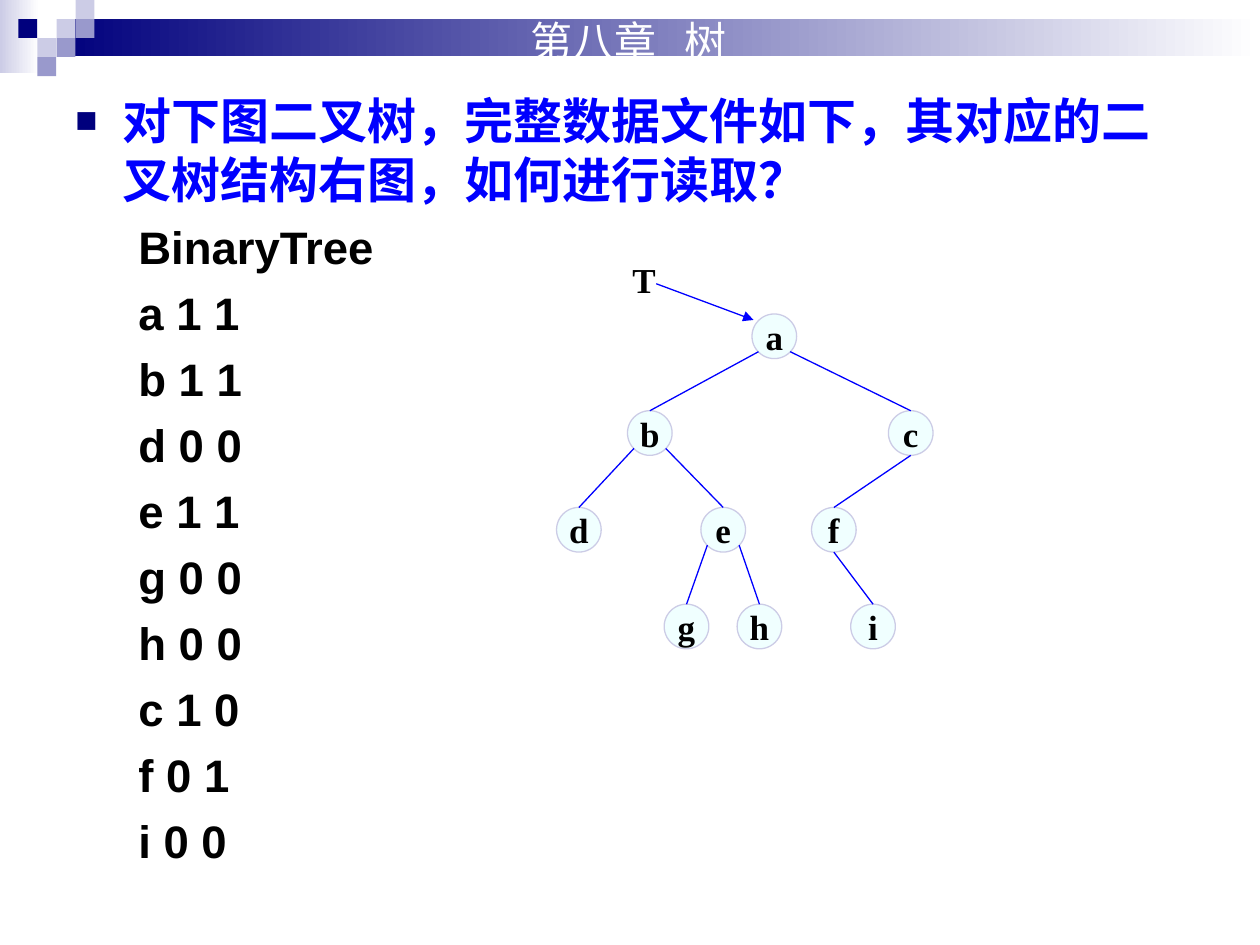
import pptx
import pptx.util
import pptx.dml.color
import pptx.enum.shapes
import pptx.enum.text
import pptx.oxml.ns
from lxml import etree

Cm = pptx.util.Cm
Pt = pptx.util.Pt
Kind = pptx.enum.shapes.MSO_SHAPE
Align = pptx.enum.text.PP_ALIGN
Anchor = pptx.enum.text.MSO_ANCHOR
qn = pptx.oxml.ns.qn

theme = {
    "navy": "00007D", "mid": "9999CC", "pale": "CCCCE6", "white": "FFFFFF",
    "blue": "0000FF", "black": "000000", "node": "F0FFFF",
    "sans": "Arial", "han": "Noto Sans CJK SC", "serif": "Times New Roman",
    "title": 24, "lead": 28, "row": 26, "label": 20, "line": 0.75,
}

title = "第八章   树"
lead = "对下图二叉树，完整数据文件如下，其对应的二叉树结构右图，如何进行读取？"
rows = ["BinaryTree", "a 1 1", "b 1 1", "d 0 0", "e 1 1", "g 0 0",
        "h 0 0", "c 1 0", "f 0 1", "i 0 0"]
bands = [(0, 0, 0.79, 1.47, "pale"), (1.14, 0.38, 24.26, 0.76, "navy")]
tiles = [(2, 1, "pale"), (3, 0, "pale"), (3, 1, "mid"), (1, 2, "pale"),
         (0, 1, "navy"), (2, 2, "mid"), (1, 3, "mid")]
nodes = {"a": (15.61, 0), "b": (13.1, 1), "c": (18.36, 1),
         "d": (11.67, 2), "e": (14.58, 2), "f": (16.81, 2),
         "g": (13.84, 3), "h": (15.31, 3), "i": (17.6, 3)}
kids = {"a": "bc", "b": "de", "c": "f", "e": "gh", "f": "i"}

tile, step, edge = 0.38, 0.385, 0.37
top, pitch, size = 6.33, 1.95, 0.9
side, drop = 0.32, 0.76


def color(name):
    return pptx.dml.color.RGBColor.from_string(theme[name])


def style(para, kind, tone, font, bold=True):
    for run in para.runs:
        run.font.size = Pt(theme[kind])
        run.font.bold = bold
        run.font.name = theme[font]
        run.font.color.rgb = color(tone)
        east = etree.SubElement(run._r.get_or_add_rPr(), qn("a:ea"))
        east.set("typeface", theme["han"])


def shape(kind, x, y, wide, high):
    item = slide.shapes.add_shape(kind, Cm(x), Cm(y), Cm(wide), Cm(high))
    item.shadow.inherit = False
    item.line.fill.background()
    return item


def box(x, y, wide, high):
    frame = slide.shapes.add_textbox(Cm(x), Cm(y), Cm(wide), Cm(high)).text_frame
    frame.word_wrap = True
    return frame


def indent(para, left, first):
    prop = para._p.get_or_add_pPr()
    prop.set("marL", str(Cm(left)))
    prop.set("indent", str(Cm(first)))
    return prop


def bullet(prop):
    tint = etree.SubElement(prop, qn("a:buClr"))
    etree.SubElement(tint, qn("a:srgbClr")).set("val", theme["navy"])
    etree.SubElement(prop, qn("a:buSzPct")).set("val", "75000")
    etree.SubElement(prop, qn("a:buFont")).set("typeface", theme["sans"])
    etree.SubElement(prop, qn("a:buChar")).set("char", "■")


def link(x1, y1, x2, y2, arrow=False):
    line = slide.shapes.add_connector(
        pptx.enum.shapes.MSO_CONNECTOR.STRAIGHT, Cm(x1), Cm(y1), Cm(x2), Cm(y2))
    line.line.color.rgb = color("blue")
    line.line.width = Pt(theme["line"])
    if arrow:
        tail = etree.SubElement(line.line._get_or_add_ln(), qn("a:tailEnd"))
        tail.set("type", "triangle")
    etree.SubElement(line._element.spPr, qn("a:effectLst"))


deck = pptx.Presentation()
deck.slide_width, deck.slide_height = Cm(25.4), Cm(19.05)
slide = deck.slides.add_slide(deck.slide_layouts[6])

for x, y, wide, high, tone in bands:
    fill = shape(Kind.RECTANGLE, x, y, wide, high).fill
    fill.gradient()
    fill.gradient_angle = 0
    for stop, name, place in zip(fill.gradient_stops, (tone, "white"), (0, 1)):
        stop.color.rgb = color(name)
        stop.position = place

for col, row, tone in tiles:
    fill = shape(Kind.RECTANGLE, edge + col * step, row * step, tile, tile).fill
    fill.solid()
    fill.fore_color.rgb = color(tone)

head = box(10.44, 0.18, 6.15, 1.27)
head.text = title
style(head.paragraphs[0], "title", "white", "han", False)

body = box(1.27, 1.7, 22.86, 17.78)
body.text = "\n".join([lead] + rows)
for spot, para in enumerate(body.paragraphs):
    if spot:
        para.level = 1
        para.space_before = Pt(6.5)
        indent(para, 2.06, -0.79)
        style(para, "row", "black", "sans")
    else:
        para.space_before = Pt(7)
        bullet(indent(para, 0.95, -0.95))
        style(para, "lead", "blue", "sans")

for name, (x, level) in nodes.items():
    disc = shape(Kind.OVAL, x - size / 2, top + level * pitch, size, size)
    disc.fill.solid()
    disc.fill.fore_color.rgb = color("node")
    disc.line.color.rgb = color("pale")
    disc.line.width = Pt(theme["line"])
    frame = disc.text_frame
    frame.margin_left = frame.margin_right = 0
    frame.margin_top = frame.margin_bottom = 0
    frame.word_wrap = False
    frame.vertical_anchor = Anchor.MIDDLE
    frame.text = name
    frame.paragraphs[0].alignment = Align.CENTER
    style(frame.paragraphs[0], "label", "black", "serif")

for name, below in kids.items():
    x, level = nodes[name]
    y = top + level * pitch
    ports = [(-side, drop), (side, drop)] if len(below) == 2 else [(0, size)]
    for child, (dx, dy) in zip(below, ports):
        cx, deep = nodes[child]
        link(x + dx, y + dy, cx, top + deep * pitch)

root = box(12.5, 5.08, 1.17, 1.12)
root.text = "T"
style(root.paragraphs[0], "label", "black", "serif")
link(13.23, 5.72, 15.19, 6.45, arrow=True)

deck.save("out.pptx")
